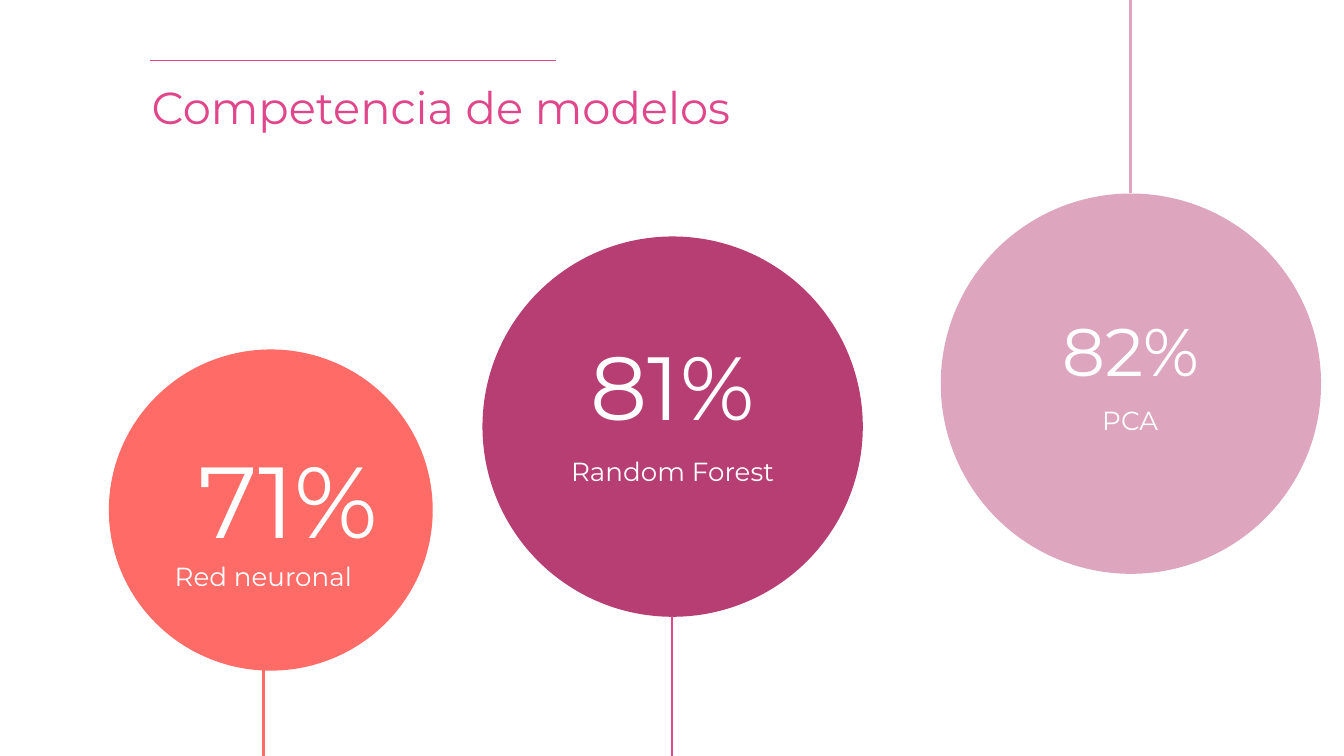
from lxml import etree
from pptx import Presentation
from pptx.dml.color import RGBColor
from pptx.enum.shapes import MSO_CONNECTOR, MSO_SHAPE
from pptx.enum.text import MSO_ANCHOR, PP_ALIGN
from pptx.oxml.ns import qn
from pptx.util import Inches, Pt

PINK = RGBColor(0xDF, 0x47, 0x8A)
CORAL = RGBColor(0xFF, 0x6C, 0x67)
MAGENTA = RGBColor(0xB7, 0x3E, 0x73)
ROSE = RGBColor(0xDD, 0xA6, 0xBE)
WHITE = RGBColor(0xFF, 0xFF, 0xFF)
SLIDE_WIDTH = 10
SLIDE_HEIGHT = SLIDE_WIDTH * 9 / 16

presentation = Presentation()
presentation.slide_width = Inches(SLIDE_WIDTH)
presentation.slide_height = Inches(SLIDE_HEIGHT)
slide = presentation.slides.add_slide(presentation.slide_layouts[6])


def add_text(text, box, size, color=WHITE, align=PP_ALIGN.CENTER, space_after=0):
    """Add one paragraph in a box given as left, top, width, height in inches."""
    shape = slide.shapes.add_textbox(*map(Inches, box))
    frame = shape.text_frame
    frame.word_wrap = True
    frame.vertical_anchor = MSO_ANCHOR.TOP
    frame.margin_left = frame.margin_right = Inches(0.1)
    frame.margin_top = frame.margin_bottom = Inches(0.1)
    paragraph = frame.paragraphs[0]
    paragraph.alignment = align
    paragraph.space_after = Pt(space_after)
    run = paragraph.add_run()
    run.text = text
    run.font.name = "Montserrat"
    run.font.size = Pt(size)
    run.font.color.rgb = color


def add_line(start, end, color, width):
    connector = slide.shapes.add_connector(
        MSO_CONNECTOR.STRAIGHT, *map(Inches, (*start, *end)))
    connector.line.color.rgb = color
    connector.line.width = Pt(width)
    etree.SubElement(connector._element.spPr, qn("a:effectLst"))


add_text("Competencia de modelos", (1.03, 0.49, 5.06, 1.03), 24,
         color=PINK, align=PP_ALIGN.LEFT)
add_line((1.12, 0.45), (4.14, 0.45), PINK, 0.75)

# Circle box and colour, score with its box and size, model name with its box
models = [
    ((0.81, 2.6, 2.41, 2.39), CORAL,
     "71%", (0.73, 3.16, 2.83, 0.79), 54,
     "Red neuronal", (1.13, 4.07, 1.66, 0.69)),
    ((3.59, 1.76, 2.83, 2.83), MAGENTA,
     "81%", (3.59, 2.36, 2.83, 0.79), 48,
     "Random Forest", (4.01, 3.29, 1.99, 0.69)),
    ((7, 1.44, 2.83, 2.83), ROSE,
     "82%", (7, 2.2, 2.83, 0.79), 36,
     "PCA", (7.58, 2.91, 1.66, 0.69)),
]
for circle_box, color, score, score_box, score_size, name, name_box in models:
    circle = slide.shapes.add_shape(MSO_SHAPE.OVAL, *map(Inches, circle_box))
    circle.shadow.inherit = False
    circle.fill.solid()
    circle.fill.fore_color.rgb = color
    circle.line.fill.background()
    add_text(score, score_box, score_size)
    add_text(name, name_box, 14, space_after=16)

# Stems from the circles to the slide edges
add_line((8.41, 1.44), (8.41, 0), ROSE, 1.5)
add_line((5, 4.58), (5, SLIDE_HEIGHT), PINK, 1.5)
add_line((1.96, 4.85), (1.96, SLIDE_HEIGHT), CORAL, 1.5)

presentation.save("out.pptx")
